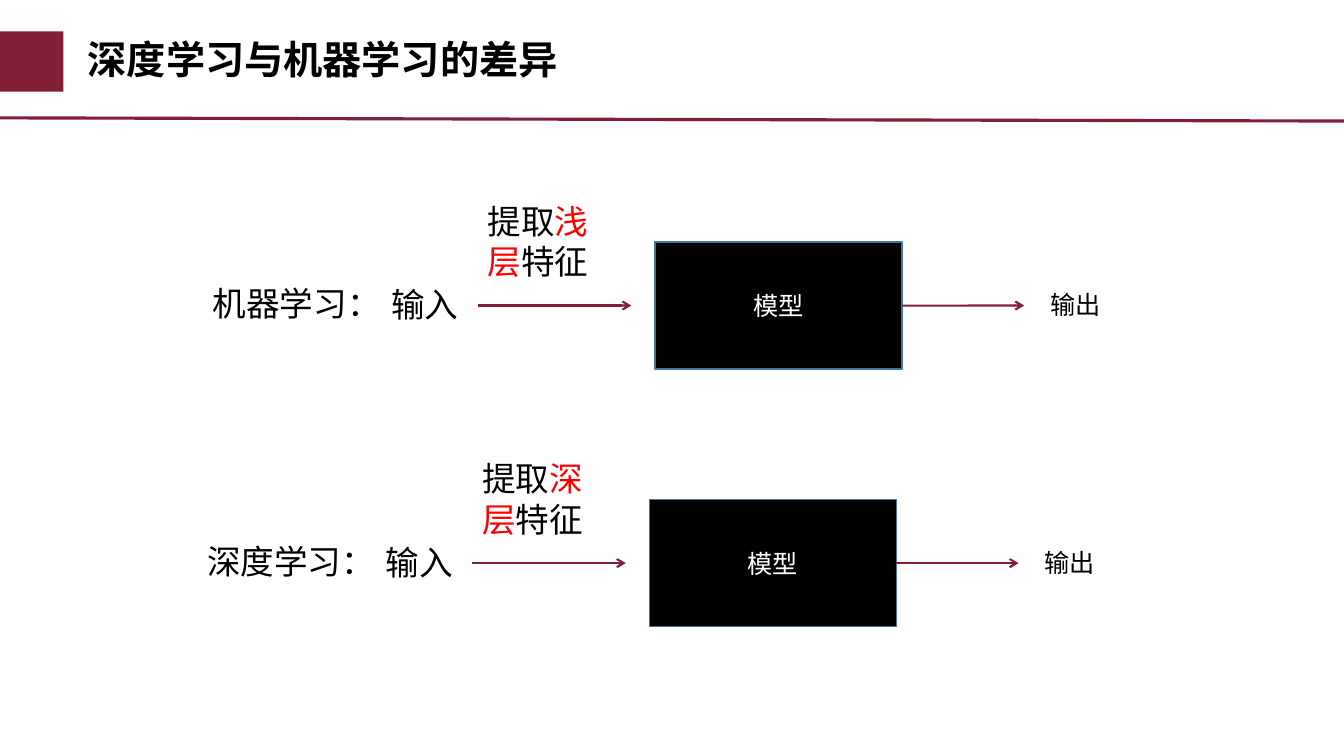
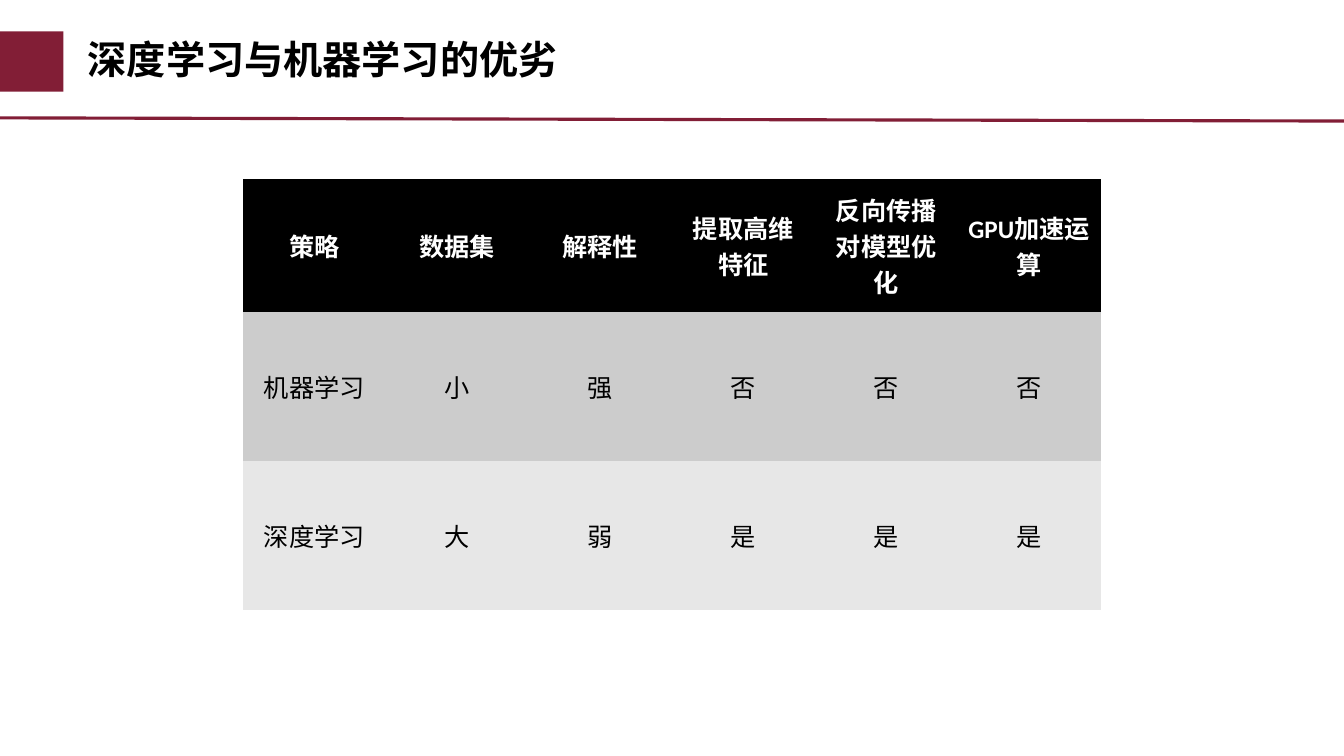
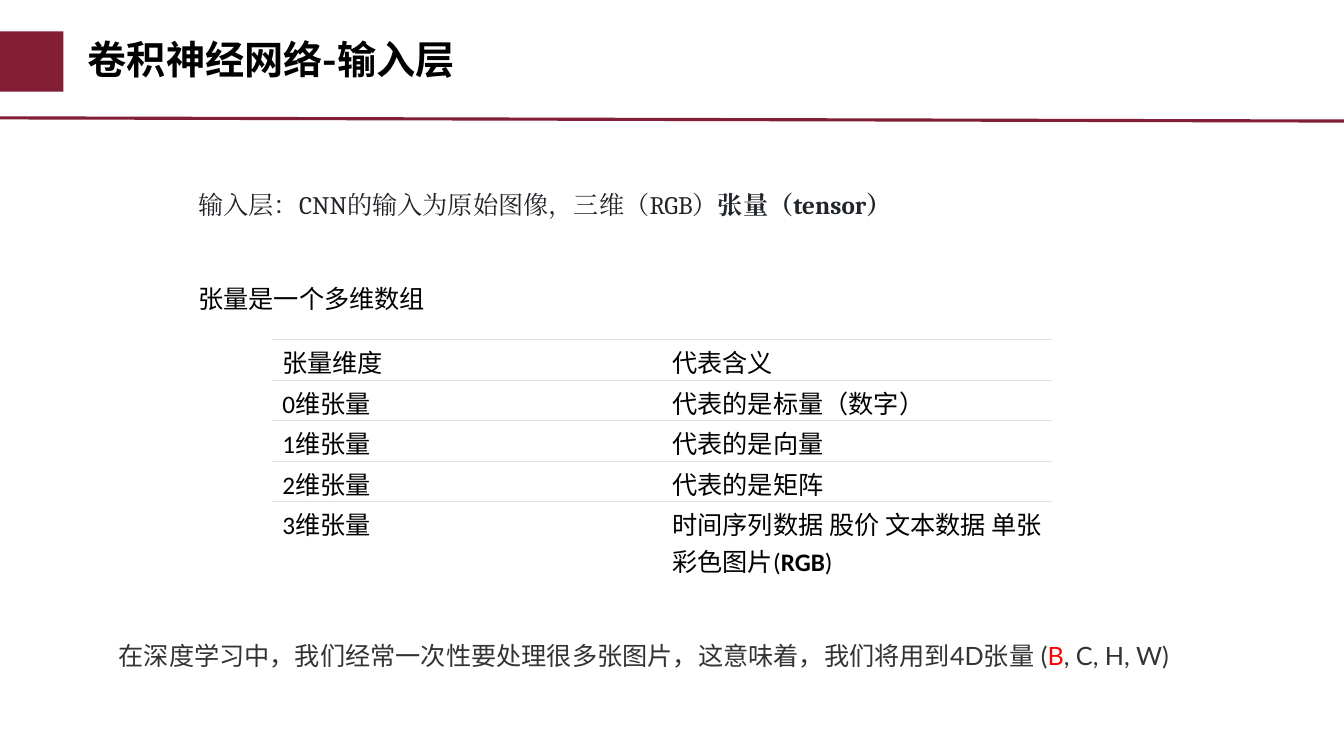
import dataclasses

import lxml.etree
import pptx
import pptx.dml.color
import pptx.enum.shapes
import pptx.enum.text
import pptx.oxml.ns
import pptx.util

Cm = pptx.util.Cm
Pt = pptx.util.Pt
ALIGN = pptx.enum.text.PP_ALIGN
ANCHOR = pptx.enum.text.MSO_ANCHOR
RECT = pptx.enum.shapes.MSO_SHAPE.RECTANGLE
LINE = pptx.enum.shapes.MSO_CONNECTOR.STRAIGHT

# Shared look
WINE, BLACK, WHITE, RED = "821E36", "000000", "FFFFFF", "FF0000"
EDGE, RULE, INK, GREY = "43739E", "DEE2E6", "212529", "333333"
HAN = "Noto Sans CJK SC"
PLAIN = "{2D5ABB26-0587-4C30-8999-92F81FD0307C}"


@dataclasses.dataclass
class Style:
    font: str
    size: float
    color: str = BLACK
    bold: bool = False
    asian: str = ""


@dataclasses.dataclass
class Span:
    text: str
    color: str = ""
    bold: bool = False


@dataclasses.dataclass
class Flow:
    name: str
    depth: str
    left: float
    top: float


TITLE = Style(HAN, 28, bold=True)
LABEL = Style("Arial", 24)
BODY = Style("Calibri", 18)
CELL = Style("Calibri", 18, asian=HAN)
HEAD = Style("Calibri", 18, WHITE, True, HAN)


def tint(code: str) -> pptx.dml.color.RGBColor:
    return pptx.dml.color.RGBColor.from_string(code)


def node(parent, tag: str, **attrs: str):
    return lxml.etree.SubElement(parent, pptx.oxml.ns.qn(tag), attrs)


def write(frame, spans: list[Span], style: Style, align=ALIGN.LEFT) -> None:
    """Fill a text frame with one paragraph of styled runs."""
    para = frame.paragraphs[0]
    para.text = spans[0].text
    for span in spans[1:]:
        para.add_run().text = span.text
    para.alignment = align
    for run, span in zip(para.runs, spans):
        font = run.font
        font.name, font.size = style.font, Pt(style.size)
        font.bold = span.bold or style.bold
        font.color.rgb = tint(span.color or style.color)
        node(run.font._element, "a:ea", typeface=style.asian or style.font)


def note(slide, left: float, top: float, width: float, height: float,
         spans: list[Span], style: Style, wrap: bool = True) -> None:
    area = slide.shapes.add_textbox(Cm(left), Cm(top), Cm(width), Cm(height))
    area.text_frame.word_wrap = wrap
    write(area.text_frame, spans, style)


def block(slide, left: float, top: float, width: float, height: float,
          fill: str, edge: str = ""):
    shape = slide.shapes.add_shape(RECT, Cm(left), Cm(top), Cm(width), Cm(height))
    shape.shadow.inherit = False
    shape.fill.solid()
    shape.fill.fore_color.rgb = tint(fill)
    if edge:
        shape.line.color.rgb = tint(edge)
        shape.line.width = Pt(1)
    else:
        shape.line.fill.background()
    return shape


def stroke(slide, left: float, top: float, right: float, low: float,
           width: float, arrow: bool = False):
    line = slide.shapes.add_connector(LINE, Cm(left), Cm(top), Cm(right), Cm(low))
    line.line.color.rgb = tint(WINE)
    line.line.width = Pt(width)
    if arrow:
        node(line.line._get_or_add_ln(), "a:tailEnd", type="arrow")
    node(line.element.spPr, "a:effectLst")
    return line


def brand(slide) -> None:
    """Give the layout its title place, square and rule."""
    layout = slide.slide_layout
    place = layout.placeholders[0]
    place.left, place.top = Cm(1.96), Cm(0.81)
    place.width, place.height = Cm(27.76), Cm(1.47)
    parts = [block(slide, 0, 0.79, 1.6, 1.52, WINE),
             stroke(slide, 0, 2.97, 33.87, 3.05, 2.25)]
    for index, part in enumerate(parts, 90):
        part.element.xpath(".//p:cNvPr")[0].set("id", str(index))
        layout.shapes.element.append(part.element)


def start(deck, title: str):
    slide = deck.slides.add_slide(deck.slide_layouts[5])
    frame = slide.shapes.title.text_frame
    write(frame, [Span(title)], TITLE)
    frame.vertical_anchor = ANCHOR.MIDDLE
    frame.paragraphs[0].line_spacing = 0.9
    return slide


def chain(slide, flow: Flow) -> None:
    """Draw input, arrow, model, arrow and output in one row."""
    x, y = flow.left, flow.top
    mid = y + 2.77
    model = block(slide, x + 11.4, mid - 1.6, 6.22, 3.2, BLACK, EDGE)
    model.text_frame.vertical_anchor = ANCHOR.MIDDLE
    write(model.text_frame, [Span("模型", WHITE)], BODY, ALIGN.CENTER)
    stroke(slide, x + 17.62, mid, x + 20.7, mid, 1.5, True).begin_connect(model, 3)
    stroke(slide, x + 6.93, mid, x + 10.8, mid, 1.5, True)
    note(slide, x + 21.11, y + 2.24, 2.01, 0.86, [Span("输出")], BODY)
    note(slide, x + 4.5, y + 2.11, 2.44, 1.27, [Span("输入")], LABEL)
    note(slide, x, y + 2.08, 4.75, 1.27, [Span(flow.name)], LABEL, False)
    note(slide, x + 6.93, y, 3.4, 2.31,
         [Span("提取"), Span(flow.depth, RED), Span("特征")], LABEL)


def grid(slide, left: float, top: float, width: float, rows: list[float],
         data: list[list[list[Span]]]):
    """Add an unstyled table with equal columns and return it."""
    count = len(data[0])
    table = slide.shapes.add_table(len(rows), count, Cm(left), Cm(top),
                                   Cm(width), Cm(sum(rows))).table
    table.first_row = table.horz_banding = False
    table._tbl.tblPr.find(pptx.oxml.ns.qn("a:tableStyleId")).text = PLAIN
    for column in table.columns:
        column.width = Cm(width / count)
    for row, height in zip(table.rows, rows):
        row.height = Cm(height)
    return table


def paint(cell, spans: list[Span], style: Style, fill: str, align) -> None:
    cell.fill.solid()
    cell.fill.fore_color.rgb = tint(fill)
    write(cell.text_frame, spans, style, align)


def border(cell) -> None:
    """Draw a thin rule on top of a cell."""
    props = cell._tc.get_or_add_tcPr()
    line = node(props, "a:lnT", w=str(Pt(0.75)))
    node(node(line, "a:solidFill"), "a:srgbClr", val=RULE)
    props.insert(0, line)


def merits(slide) -> None:
    data = [[[Span(word)] for word in line.split("|")] for line in (
        "策略|数据集|解释性|提取高维特征|反向传播对模型优化|GPU加速运算",
        "机器学习|小|强|否|否|否",
        "深度学习|大|弱|是|是|是")]
    table = grid(slide, 6.12, 4.52, 21.62, [3.33, 3.76, 3.76], data)
    looks = [(HEAD, BLACK), (CELL, "CCCCCC"), (CELL, "E7E7E7")]
    for r, (style, fill) in enumerate(looks):
        for c, spans in enumerate(data[r]):
            cell = table.cell(r, c)
            paint(cell, spans, style, fill, ALIGN.CENTER)
            cell.vertical_anchor = ANCHOR.MIDDLE


def tensors(slide) -> None:
    data = [[[Span("张量维度")], [Span("代表含义")]],
            [[Span("0维张量")], [Span("代表的是标量（数字）")]],
            [[Span("1维张量")], [Span("代表的是向量")]],
            [[Span("2维张量")], [Span("代表的是矩阵")]],
            [[Span("3维张量")],
             [Span("时间序列数据 股价 文本数据 单张彩色图片("),
              Span("RGB", bold=True), Span(")")]]]
    table = grid(slide, 6.86, 8.56, 19.66, [1.02] * 4 + [1.96], data)
    for r, row in enumerate(data):
        for c, spans in enumerate(row):
            cell = table.cell(r, c)
            paint(cell, spans, CELL, WHITE, ALIGN.LEFT)
            cell.margin_top, cell.margin_bottom = Cm(0.1), 0
            cell.vertical_anchor = ANCHOR.TOP if r else ANCHOR.BOTTOM
            border(cell)


def main() -> None:
    deck = pptx.Presentation()
    deck.slide_width, deck.slide_height = Cm(33.87), Cm(19.05)

    # Two flows side by side
    slide = start(deck, "深度学习与机器学习的差异")
    brand(slide)
    for flow in (Flow("机器学习：", "浅层", 5.11, 4.93),
                 Flow("深度学习：", "深层", 4.97, 11.42)):
        chain(slide, flow)

    # Strengths and limits
    merits(start(deck, "深度学习与机器学习的优劣"))

    # Input layer
    slide = start(deck, "卷积神经网络-输入层")
    note(slide, 4.75, 4.65, 20.68, 1.02,
         [Span("输入层：CNN的输入为原始图像，三维（RGB）"),
          Span("张量（tensor）", bold=True)], Style("Cambria", 18, INK))
    note(slide, 4.75, 7.01, 6.73, 1.02, [Span("张量是一个多维数组")], BODY)
    tensors(slide)
    note(slide, 2.74, 16, 27, 1.02,
         [Span("在深度学习中，我们经常一次性要处理很多张图片，"
               "这意味着，我们将用到4D张量 ("),
          Span("B", RED), Span(", C, H, W)")], Style("Lato", 18, GREY))

    deck.save("out.pptx")


if __name__ == "__main__":
    main()
